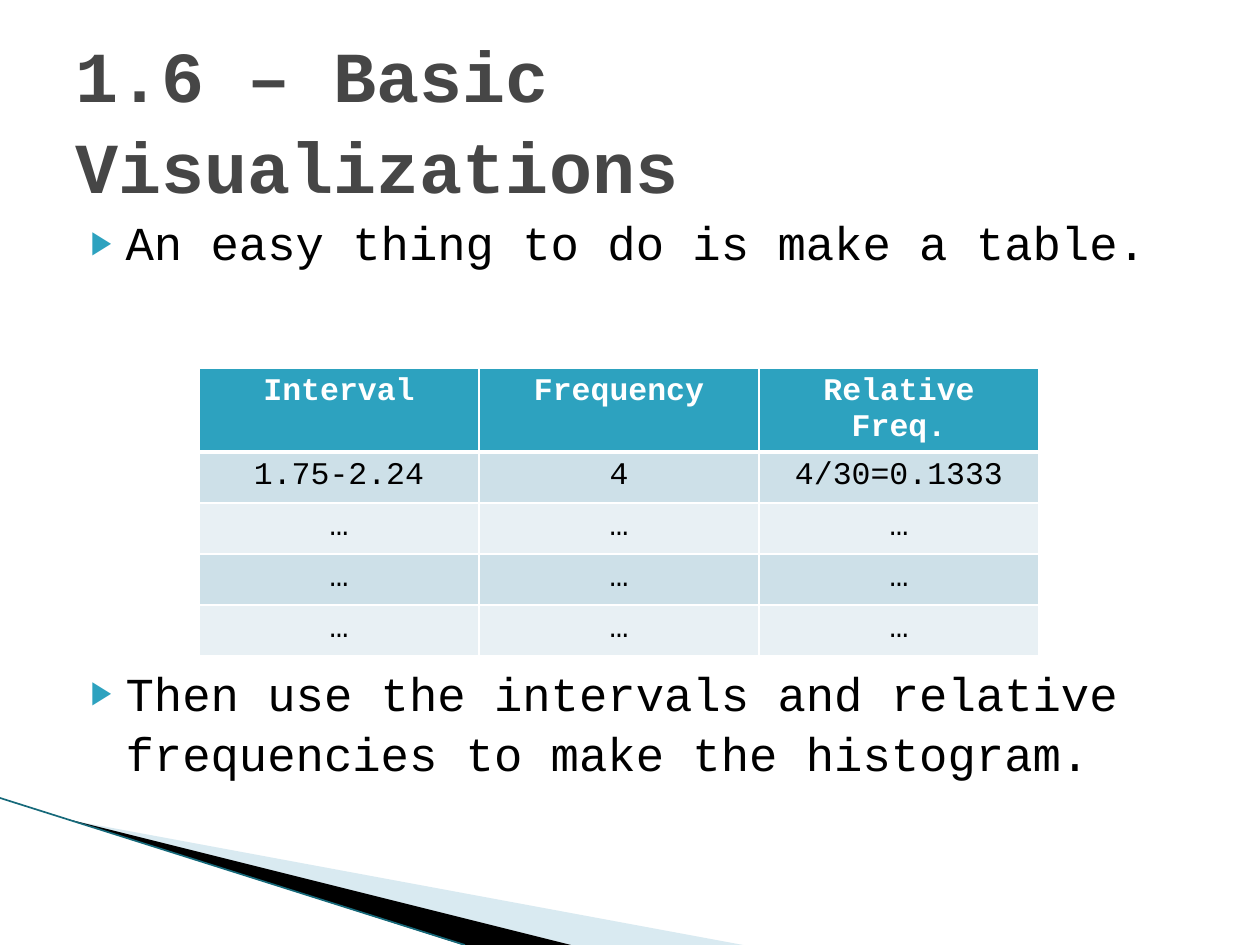
from pptx import Presentation
from pptx.dml import color
from pptx.enum import shapes, text
from pptx.oxml import ns, xmlchemy
from pptx.util import Pt
from lxml import etree
from dataclasses import dataclass

PX = 914400 / 126


@dataclass(frozen=True)
class Theme:
    """Colours, font and type sizes of the slide."""
    font: str = "Courier New"
    ink: str = "000000"
    head: str = "464646"
    teal: str = "2DA2BF"
    edge: str = "16697A"
    pale: str = "A0CBDC"
    white: str = "FFFFFF"
    bands: tuple = ("CDE0E8", "E8F0F4")
    title: int = 41
    body: int = 27
    cell: int = 18


T = Theme()


def px(n):
    """Turn px into EMU."""
    return round(n * PX)


def rgb(hue):
    """Make a colour from its hex name."""
    return color.RGBColor.from_string(hue)


def sub(node, tag, **attrs):
    """Add a drawing element under a node."""
    return etree.SubElement(node, ns.qn(tag), attrs)


def place(shape, box):
    """Move a shape to a box in px."""
    shape.left, shape.top, shape.width, shape.height = map(px, box)


def write(para, words, size, hue=T.ink, bold=False, align=None, gap=0, pitch=None):
    """Write one formatted run into a paragraph."""
    run = para.add_run()
    run.text = words
    run.font.name, run.font.size, run.font.bold = T.font, Pt(size), bold
    run.font.color.rgb = rgb(hue)
    para.alignment, para.space_before, para.line_spacing = align, Pt(gap), pitch


def mark(para):
    """Give a paragraph a teal arrow bullet."""
    props = para._p.get_or_add_pPr()
    props.set("marL", str(px(50)))
    props.set("indent", str(px(-35)))
    sub(sub(props, "a:buClr"), "a:srgbClr", val=T.teal)
    sub(props, "a:buSzPct", val="68000")
    sub(props, "a:buFont", typeface="Arial")
    sub(props, "a:buChar", char="▶")


def frame(shape, box, anchor):
    """Place a placeholder and return its text frame."""
    place(shape, box)
    area = shape.text_frame
    area.word_wrap, area.auto_size = True, text.MSO_AUTO_SIZE.NONE
    area.vertical_anchor = anchor
    return area


def title(slide, box, words):
    """Fill the title placeholder."""
    area = frame(slide.shapes.title, box, text.MSO_ANCHOR.MIDDLE)
    write(area.paragraphs[0], words, T.title, T.head, True,
          text.PP_ALIGN.LEFT, pitch=1.06)


def body(slide, box, items):
    """Fill the body placeholder with spaced bullets."""
    area = frame(slide.placeholders[1], box, text.MSO_ANCHOR.TOP)
    for i, (words, gap) in enumerate(items):
        para = area.add_paragraph() if i else area.paragraphs[0]
        write(para, words, T.body, gap=gap, pitch=1.06)
        mark(para)


def border(cell, heavy):
    """Draw white cell borders, with a thick base if heavy."""
    props = cell._tc.get_or_add_tcPr()
    for i, side in enumerate("LRTB"):
        wide = 3 if heavy and side == "B" else 1
        line = etree.Element(ns.qn("a:ln" + side), w=str(Pt(wide)))
        sub(sub(line, "a:solidFill"), "a:srgbClr", val=T.white)
        props.insert(i, line)


def table(slide, box, rows):
    """Build the banded frequency table."""
    grid = slide.shapes.add_table(len(rows), len(rows[0]), *map(px, box)).table
    for r, row in enumerate(rows):
        top = r == 0
        for c, words in enumerate(row):
            cell = grid.cell(r, c)
            cell.fill.solid()
            cell.fill.fore_color.rgb = rgb(T.teal if top else T.bands[(r - 1) % 2])
            border(cell, top)
            write(cell.text_frame.paragraphs[0], words, T.cell,
                  T.white if top else T.ink, top, text.PP_ALIGN.CENTER)


def wedge(slide, box, points, hue, alpha=100):
    """Draw a filled triangle from points within a box."""
    spots = [(box[0] + x, box[1] + y) for x, y in points]
    pen = slide.shapes.build_freeform(*spots[0], scale=PX)
    pen.add_line_segments(spots[1:], close=True)
    shape = pen.convert_to_shape()
    shape.shadow.inherit = False
    shape.line.fill.background()
    shape.fill.solid()
    shape.fill.fore_color.rgb = rgb(hue)
    if alpha < 100:
        tint = shape._element.spPr.find(".//" + ns.qn("a:srgbClr"))
        sub(tint, "a:alpha", val=str(alpha * 1000))


def sweep(slide, box):
    """Draw the corner wedges and their edge line."""
    left, top, wide, high = box
    wedge(slide, box, [(69, 22), (wide, high), (571, high)], T.pale, 40)
    wedge(slide, box, [(67, 21), (571, high), (463, high)], T.ink)
    line = slide.shapes.add_connector(
        shapes.MSO_CONNECTOR.STRAIGHT,
        *map(px, (left, top, left + 465, top + high)))
    line.line.color.rgb, line.line.width = rgb(T.edge), Pt(0.95)
    sub(line._element.spPr, "a:effectLst")


def main():
    """Build and save the slide."""
    deck = Presentation()
    deck.slide_width, deck.slide_height = px(1260), px(945)
    slide = deck.slides.add_slide(deck.slide_layouts[1])
    sweep(slide, (0, 798, 743, 147))
    body(slide, (63, 204, 1134, 624), [
        ("An easy thing to do is make a table.", 4),
        ("Then use the intervals and relative frequencies to make the histogram.", 223),
    ])
    title(slide, (63, 38, 1134, 157), "1.6 – Basic Visualizations")
    table(slide, (199, 368, 840, 255), [
        ("Interval", "Frequency", "Relative Freq."),
        ("1.75-2.24", "4", "4/30=0.1333"),
        *[("…",) * 3] * 3,
    ])
    deck.save("out.pptx")


if __name__ == "__main__":
    main()
